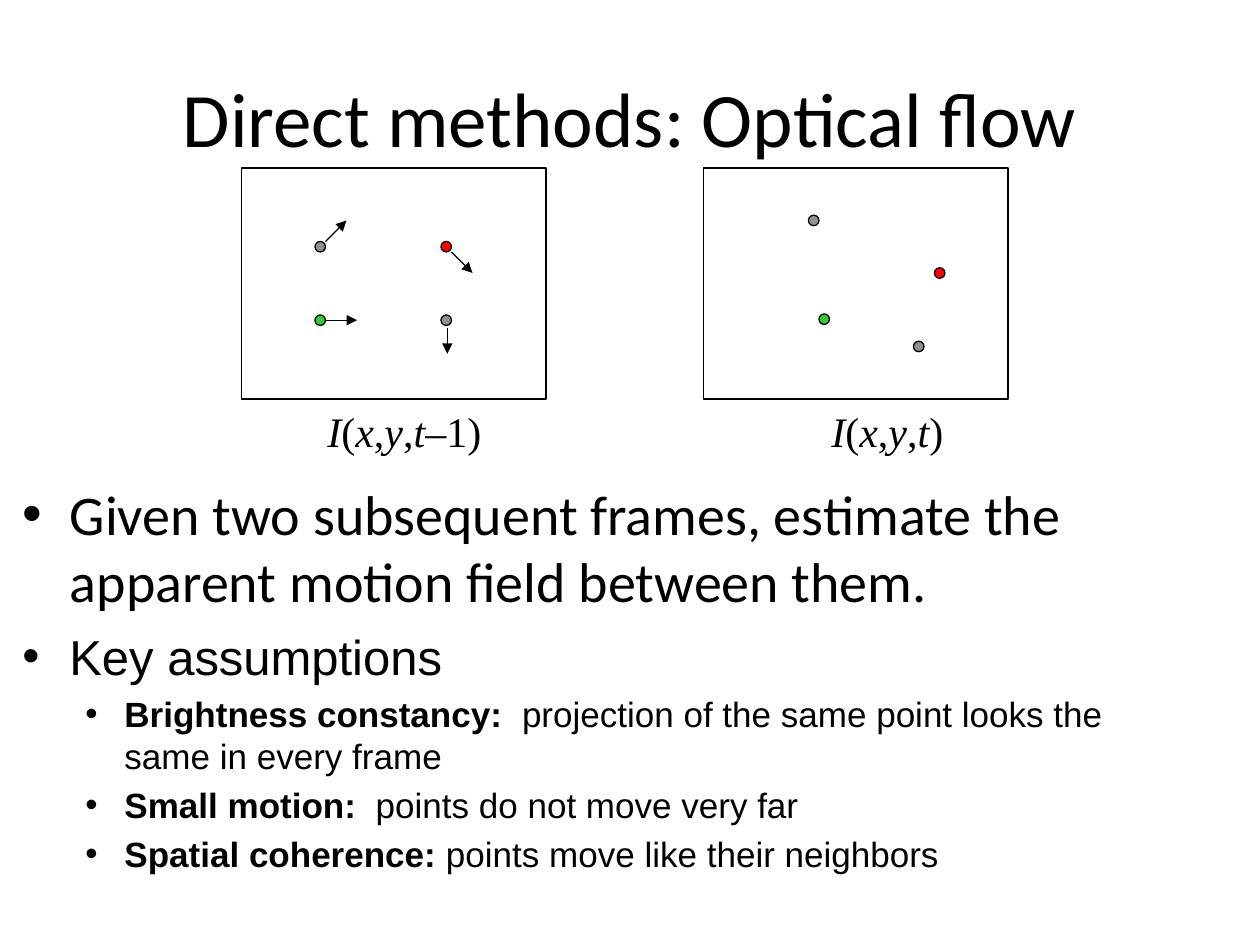
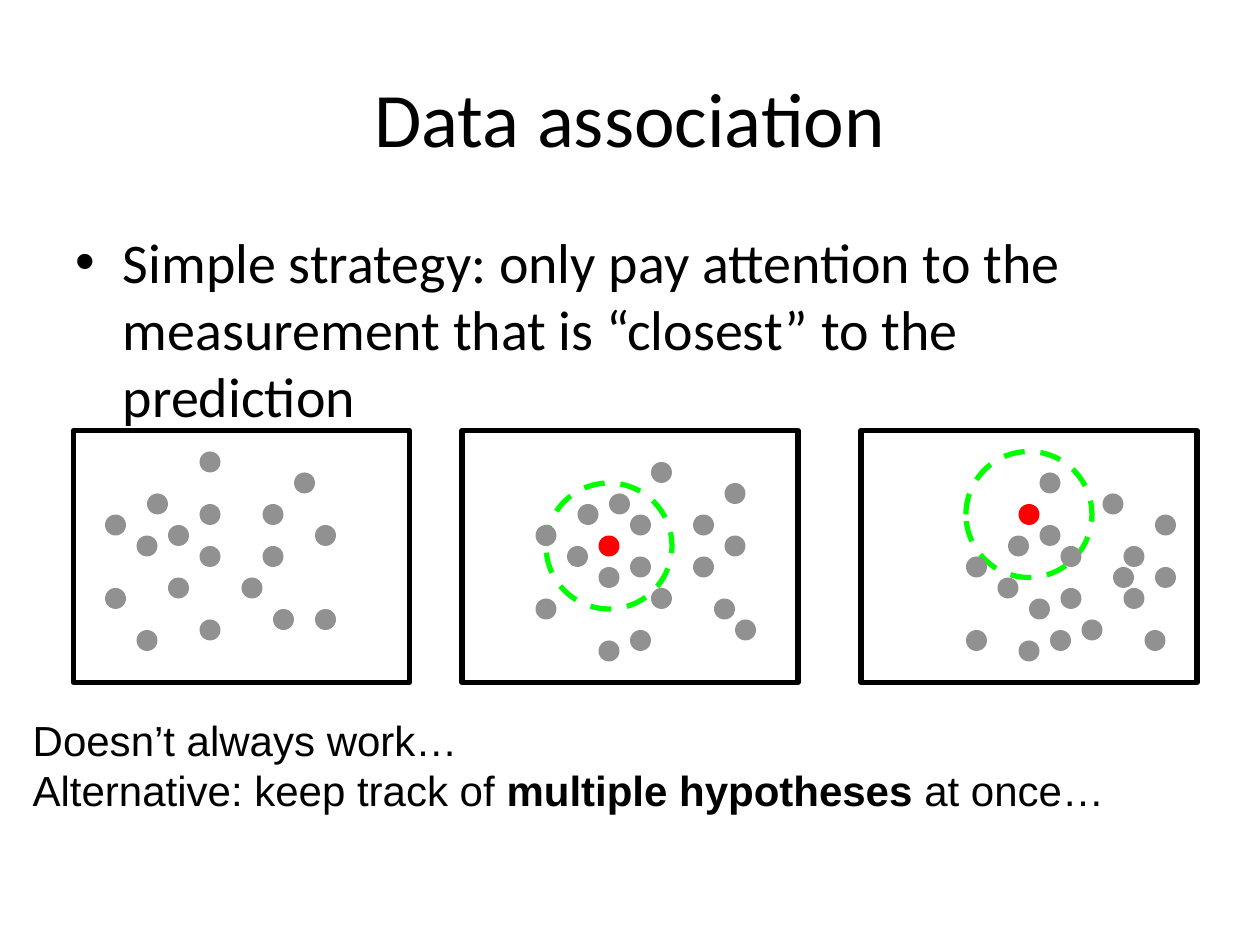
import pptx
import pptx.dml.color
import pptx.enum.dml
import pptx.enum.shapes
import pptx.enum.text
import pptx.util
from lxml import etree
from pptx.oxml.ns import qn

Cm, Pt = pptx.util.Cm, pptx.util.Pt
RECT = pptx.enum.shapes.MSO_SHAPE.RECTANGLE
OVAL = pptx.enum.shapes.MSO_SHAPE.OVAL
BLACK, WHITE, GREY = "000000", "FFFFFF", "919191"
RED, GREEN, LIME = "FF0000", "33CC33", "00FF00"
U = 2.54 / 12  # drawing grid: a twelfth of an inch, in cm


def draw(s, kind, x, y, w, h, fill=None, line=None, width=0.75):
    """Add a shape placed in grid units."""
    sp = s.shapes.add_shape(kind, *[Cm(v * U) for v in (x, y, w, h)])
    sp.shadow.inherit = False
    if fill:
        sp.fill.solid()
        sp.fill.fore_color.rgb = pptx.dml.color.RGBColor.from_string(fill)
    else:
        sp.fill.background()
    if line:
        sp.line.color.rgb = pptx.dml.color.RGBColor.from_string(line)
        sp.line.width = Pt(width)
    else:
        sp.line.fill.background()
    return sp


def write(p, parts, font, size, bold="", italic=""):
    """Write parts as runs; those listed in bold or italic are emphasised."""
    for part in parts:
        r = p.add_run()
        r.text = part
        r.font.name, r.font.size = font, Pt(size)
        r.font.bold, r.font.italic = part in bold, part in italic


prs = pptx.Presentation()
prs.slide_width, prs.slide_height = Cm(25.4), Cm(19.05)

# Titles and main bullets
pages = [
    ("Direct methods: Optical flow",
     "Given two subsequent frames, estimate the apparent motion field between them.",
     (0.2, 9.53, 24.77, 2.74)),
    ("Data association",
     "Simple strategy: only pay attention to the measurement that is “closest” to the prediction",
     (1.27, 4.45, 22.86, 12.57)),
]
for title, bullet, box in pages:
    s = prs.slides.add_slide(prs.slide_layouts[1])
    body = s.placeholders[1]
    body.left, body.top, body.width, body.height = [Cm(v) for v in box]
    for sp, text, size in ((s.shapes.title, title, 44), (body, bullet, 32)):
        tf = sp.text_frame
        tf.text = text
        tf.auto_size = pptx.enum.text.MSO_AUTO_SIZE.NONE
        r = tf.paragraphs[0].runs[0]
        r.font.name, r.font.size = "Calibri", Pt(size)
flow, association = prs.slides

# Optical flow: two frames with their points
frames = [
    (23, [(30, 23), (42, 23), (30, 30), (42, 30)]),
    (67, [(77, 20.5), (89, 25.5), (78, 29.9), (87, 32.5)]),
]
for left, points in frames:
    draw(flow, RECT, left, 16, 29, 22, WHITE, BLACK)
    for (x, y), colour in zip(points, (GREY, RED, GREEN, GREY)):
        draw(flow, OVAL, x, y, 1, 1, colour, BLACK)

# Motion arrows
arrows = [(31, 23, 33, 21), (31, 30.5, 34, 30.5), (43, 24, 45, 26), (42.6, 31.2, 42.6, 33.7)]
for ends in arrows:
    c = flow.shapes.add_connector(pptx.enum.shapes.MSO_CONNECTOR.STRAIGHT,
                                  *[Cm(v * U) for v in ends])
    c.line.color.rgb = pptx.dml.color.RGBColor.from_string(BLACK)
    c.line.width = Pt(0.75)
    etree.SubElement(c.line._get_or_add_ln(), qn("a:tailEnd"), type="triangle")
    etree.SubElement(c._element.spPr, qn("a:effectLst"))

# Frame labels
for left, width, ending in ((6.35, 3.61, "–1)"), (16.51, 2.77, ")")):
    tf = flow.shapes.add_textbox(Cm(left), Cm(8.05), Cm(width), Cm(1.27)).text_frame
    tf.word_wrap = False
    write(tf.paragraphs[0], ["I", "(", "x", ",", "y", ",", "t", ending],
          "Times New Roman", 24, italic="Ixyt")

# Key assumptions
assumptions = [
    (0, 28, ["Key assumptions"]),
    (1, 20, ["Brightness constancy:  ", "projection of the same point looks the same in every frame"]),
    (1, 20, ["Small motion:", "  points do not move very far"]),
    (1, 20, ["Spatial coherence:", " points move like their neighbors"]),
]
tf = flow.shapes.add_textbox(Cm(0.2), Cm(12.5), Cm(22.86), Cm(6.15)).text_frame
tf.word_wrap = True
for i, (level, size, parts) in enumerate(assumptions):
    p = tf.add_paragraph() if i else tf.paragraphs[0]
    p.level = level
    p.space_before = Pt(size * 0.2)
    write(p, parts, "Arial", size, bold=parts[:level])
    margin, hang = ((0.95, 0.95), (2.06, 0.79))[level]
    pPr = p._p.get_or_add_pPr()
    pPr.set("marL", str(Cm(margin)))
    pPr.set("indent", str(-Cm(hang)))
    etree.SubElement(pPr, qn("a:buFont"), typeface="Arial")
    etree.SubElement(pPr, qn("a:buChar"), char="•")

# Data association: frame left, search ring, prediction, measurements
scenes = [
    (7, None, None,
     [(16, 55), (25, 48), (14, 47), (30, 50), (19, 48), (25, 52), (19, 52), (26, 58), (16, 50),
      (19, 59), (10, 49), (13, 51), (13, 60), (10, 56), (23, 55), (28, 45), (19, 43), (30, 58)]),
    (44, (52, 46), (57, 51),
     [(66, 49), (55, 48), (69, 51), (60, 49), (66, 53), (60, 53), (68, 57), (57, 54), (60, 60),
      (51, 50), (54, 52), (57, 61), (51, 57), (62, 56), (69, 46), (62, 44), (58, 47), (70, 59)]),
    (82, (92, 43), (97, 48),
     [(106, 54), (99, 45), (107, 52), (96, 51), (110, 54), (101, 52), (107, 56), (101, 56),
      (109, 60), (98, 57), (100, 60), (92, 53), (95, 55), (97, 61), (92, 60), (103, 59),
      (110, 49), (105, 47), (99, 50)]),
]
for left, ring, prediction, measurements in scenes:
    draw(association, RECT, left, 41, 32, 24, WHITE, BLACK, 3)
    if ring:
        sp = draw(association, OVAL, *ring, 12, 12, None, LIME, 3)
        sp.line.dash_style = pptx.enum.dml.MSO_LINE.DASH
        draw(association, OVAL, *prediction, 2, 2, RED)
    for x, y in measurements:
        draw(association, OVAL, x, y, 2, 2, GREY)

# Closing remark
tf = association.shapes.add_textbox(Cm(0.41), Cm(14.27), Cm(24.56), Cm(2.31)).text_frame
tf.word_wrap = True
write(tf.paragraphs[0], ["Doesn’t always work…"], "Arial", 24)
write(tf.add_paragraph(), ["Alternative: keep track of ", "multiple hypotheses ", "at once…"],
      "Arial", 24, bold=["multiple hypotheses "])

prs.save("out.pptx")
